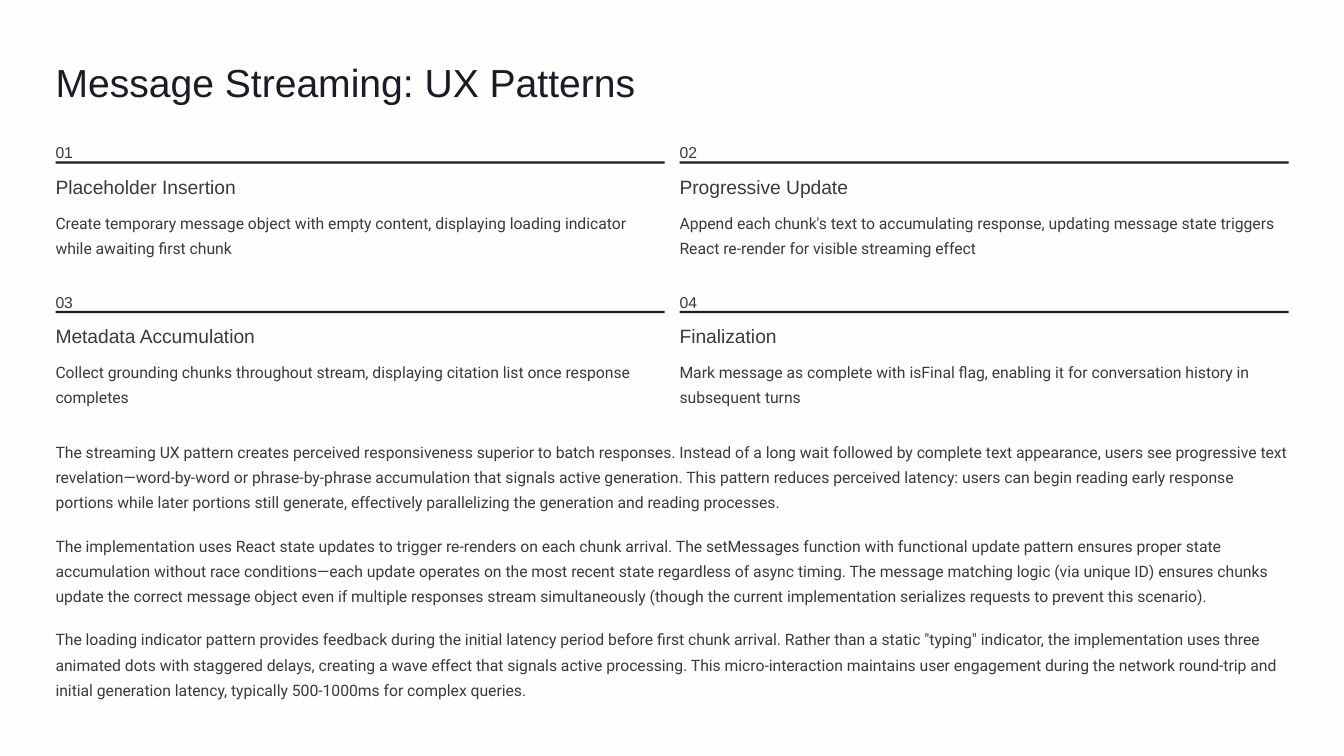
from dataclasses import dataclass

from pptx import Presentation
from pptx.dml.color import RGBColor
from pptx.enum.shapes import MSO_SHAPE as Shape
from pptx.enum.text import MSO_ANCHOR as Anchor, MSO_AUTO_SIZE as AutoSize, PP_ALIGN as Align
from pptx.util import Cm, Pt

TITLE = "Message Streaming: UX Patterns"
PATTERNS = [
    ("Placeholder Insertion",
     "Create temporary message object with empty content, displaying loading indicator "
     "while awaiting first chunk"),
    ("Progressive Update",
     "Append each chunk's text to accumulating response, updating message state triggers "
     "React re-render for visible streaming effect"),
    ("Metadata Accumulation",
     "Collect grounding chunks throughout stream, displaying citation list once response "
     "completes"),
    ("Finalization",
     "Mark message as complete with isFinal flag, enabling it for conversation history in "
     "subsequent turns"),
]
NOTES = [
    "The streaming UX pattern creates perceived responsiveness superior to batch responses. "
    "Instead of a long wait followed by complete text appearance, users see progressive text "
    "revelation—word-by-word or phrase-by-phrase accumulation that signals active generation. "
    "This pattern reduces perceived latency: users can begin reading early response portions "
    "while later portions still generate, effectively parallelizing the generation and reading "
    "processes.",
    "The implementation uses React state updates to trigger re-renders on each chunk arrival. "
    "The setMessages function with functional update pattern ensures proper state accumulation "
    "without race conditions—each update operates on the most recent state regardless of async "
    "timing. The message matching logic (via unique ID) ensures chunks update the correct "
    "message object even if multiple responses stream simultaneously (though the current "
    "implementation serializes requests to prevent this scenario).",
    "The loading indicator pattern provides feedback during the initial latency period before "
    "first chunk arrival. Rather than a static \"typing\" indicator, the implementation uses "
    "three animated dots with staggered delays, creating a wave effect that signals active "
    "processing. This micro-interaction maintains user engagement during the network round-trip "
    "and initial generation latency, typically 500-1000ms for complex queries.",
]


@dataclass(frozen=True)
class Style:
    font: str
    size: float
    leading: float
    color: RGBColor


@dataclass(frozen=True)
class Theme:
    paper = RGBColor(0xFE, 0xFE, 0xFE)
    ink = RGBColor(0x1B, 0x1B, 0x27)
    text = RGBColor(0x3C, 0x39, 0x39)
    title = Style("Arial", 33.5, 42, ink)
    number = Style("Arial", 13.5, 21.5, text)
    heading = Style("Arial", 16.5, 21, text)
    body = Style("Roboto", 13.5, 21.5, text)


THEME = Theme()
LEFT, FULL_W = 1.68, 37.29
COL_W, COL_STEP = 18.42, 18.87
ROW_TOP, ROW_STEP = 4.14, 4.52
NOTE_TOP, NOTE_STEP = 13.21, 2.83


def write(sp, text, style):
    """Fill a shape with one left-aligned run in the given style."""
    tf = sp.text_frame
    tf.margin_left = tf.margin_top = tf.margin_right = tf.margin_bottom = 0
    tf.word_wrap = True
    tf.auto_size = AutoSize.NONE
    tf.vertical_anchor = Anchor.TOP
    p = tf.paragraphs[0]
    p.alignment = Align.LEFT
    p.line_spacing = Pt(style.leading)
    p.space_before = Pt(0)
    r = p.add_run()
    r.text = text
    r.font.name = style.font
    r.font.size = Pt(style.size)
    r.font.color.rgb = style.color


def add_text(s, x, y, w, h, text, style):
    """Add a text box measured in centimetres."""
    write(s.shapes.add_textbox(Cm(x), Cm(y), Cm(w), Cm(h)), text, style)


def add_rule(s, x, y):
    """Add the dark bar under a pattern number."""
    sp = s.shapes.add_shape(Shape.RECTANGLE, Cm(x), Cm(y), Cm(COL_W), Cm(0.07))
    sp.shadow.inherit = False
    sp.fill.solid()
    sp.fill.fore_color.rgb = THEME.ink
    sp.line.fill.background()


def add_pattern(s, i, heading, detail):
    """Add one numbered pattern in its cell of the two-column grid."""
    row, col = divmod(i, 2)
    x, y = LEFT + col * COL_STEP, ROW_TOP + row * ROW_STEP
    add_text(s, x, y, 1, 0.61, f"{i + 1:02d}", THEME.number)
    add_rule(s, x, y + 0.74)
    add_text(s, x, y + 1.11, COL_W, 0.74, heading, THEME.heading)
    add_text(s, x, y + 2.13, COL_W, 1.52, detail, THEME.body)


def main():
    """Build and save the slide."""
    prs = Presentation()
    prs.slide_width, prs.slide_height = Cm(40.64), Cm(22.86)
    s = prs.slides.add_slide(prs.slide_layouts[5])
    s.background.fill.solid()
    s.background.fill.fore_color.rgb = THEME.paper

    title = s.shapes.title
    title.left, title.top, title.width, title.height = Cm(LEFT), Cm(1.7), Cm(FULL_W), Cm(1.5)
    write(title, TITLE, THEME.title)

    for i, (heading, detail) in enumerate(PATTERNS):
        add_pattern(s, i, heading, detail)
    for i, note in enumerate(NOTES):
        add_text(s, LEFT, NOTE_TOP + i * NOTE_STEP, FULL_W, 2.29, note, THEME.body)
    prs.save("out.pptx")


if __name__ == "__main__":
    main()
